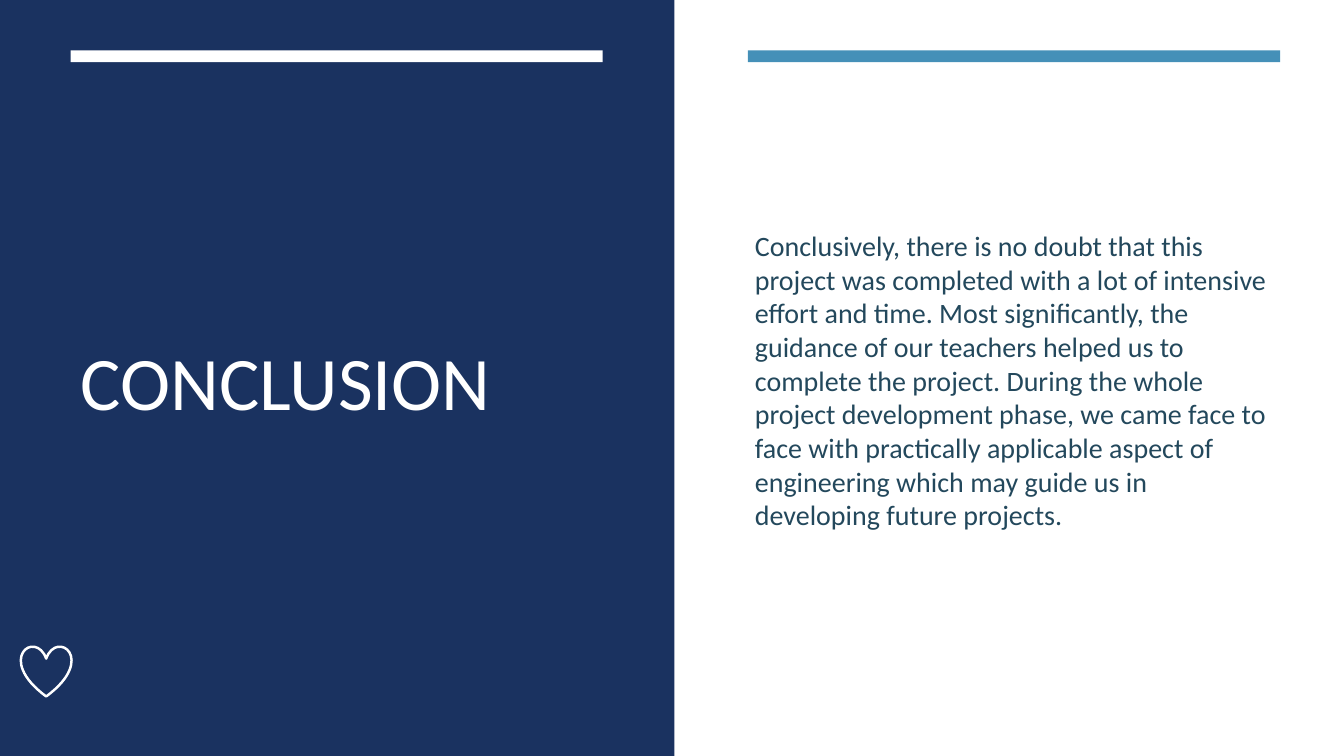
import pptx
import pptx.util
import pptx.dml.color
import pptx.enum.shapes
import pptx.enum.text
import pptx.oxml

Cm = pptx.util.Cm
Pt = pptx.util.Pt
SHAPES = pptx.enum.shapes.MSO_SHAPE

WIDTH, HEIGHT = 33.87, 19.05
NAVY, WHITE, BLUE, SLATE = "1A3260", "FFFFFF", "4590B8", "23485C"
FONT = "Calibri"

HEADING = "CONCLUSION"
CONCLUSION = (
    "Conclusively, there is no doubt that this project was completed with a lot of "
    "intensive effort and time. Most significantly, the guidance of our teachers helped "
    "us to complete the project. During the whole project development phase, we came "
    "face to face with practically applicable aspect of engineering which may guide us "
    "in developing future projects."
)

PANELS = [((0, 0, WIDTH, HEIGHT), WHITE), ((0, 0, 17, HEIGHT), NAVY)]
BARS = [((1.78, 1.27, 13.41, 0.3), WHITE), ((18.85, 1.27, 13.41, 0.3), BLUE)]
HEADING_BOX = (1.78, 2.87, 13.41, 13.41)
CONCLUSION_BOX = (18.77, 2.87, 13.49, 13.41)
HEART_BOX = (0.53, 16.28, 1.27, 1.27)


def rgb(value):
    return pptx.dml.color.RGBColor.from_string(value)


def add_block(slide, box, fill, kind=SHAPES.RECTANGLE, outline=None):
    block = slide.shapes.add_shape(kind, *map(Cm, box))
    block.shadow.inherit = False
    block.fill.solid()
    block.fill.fore_color.rgb = rgb(fill)
    if outline:
        block.line.color.rgb = rgb(outline)
        block.line.width = Pt(1.75)
    else:
        block.line.fill.background()


def write(holder, text, box, size, color, after=0, bullet=True):
    holder.left, holder.top, holder.width, holder.height = map(Cm, box)
    frame = holder.text_frame
    frame.text = text
    frame.word_wrap = True
    frame.auto_size = pptx.enum.text.MSO_AUTO_SIZE.NONE
    frame.vertical_anchor = pptx.enum.text.MSO_ANCHOR.MIDDLE
    paragraph = frame.paragraphs[0]
    paragraph.alignment = pptx.enum.text.PP_ALIGN.LEFT
    paragraph.space_after = Pt(after)
    font = paragraph.runs[0].font
    font.name, font.size, font.color.rgb = FONT, Pt(size), rgb(color)
    if not bullet:
        properties = paragraph._p.get_or_add_pPr()
        properties.set("marL", "0")
        properties.set("indent", "0")
        properties.append(pptx.oxml.parse_xml(
            '<a:buNone xmlns:a="http://schemas.openxmlformats.org/drawingml/2006/main"/>'))
    holder.element.getparent().append(holder.element)


def main():
    deck = pptx.Presentation()
    deck.slide_width, deck.slide_height = Cm(WIDTH), Cm(HEIGHT)
    slide = deck.slides.add_slide(deck.slide_layouts[1])
    heading, conclusion = slide.placeholders

    for box, fill in PANELS:
        add_block(slide, box, fill)
    write(heading, HEADING, HEADING_BOX, 54, WHITE)
    for box, fill in BARS:
        add_block(slide, box, fill)
    write(conclusion, CONCLUSION, CONCLUSION_BOX, 20, SLATE, after=6, bullet=False)
    add_block(slide, HEART_BOX, NAVY, SHAPES.HEART, WHITE)

    deck.save("out.pptx")


if __name__ == "__main__":
    main()
